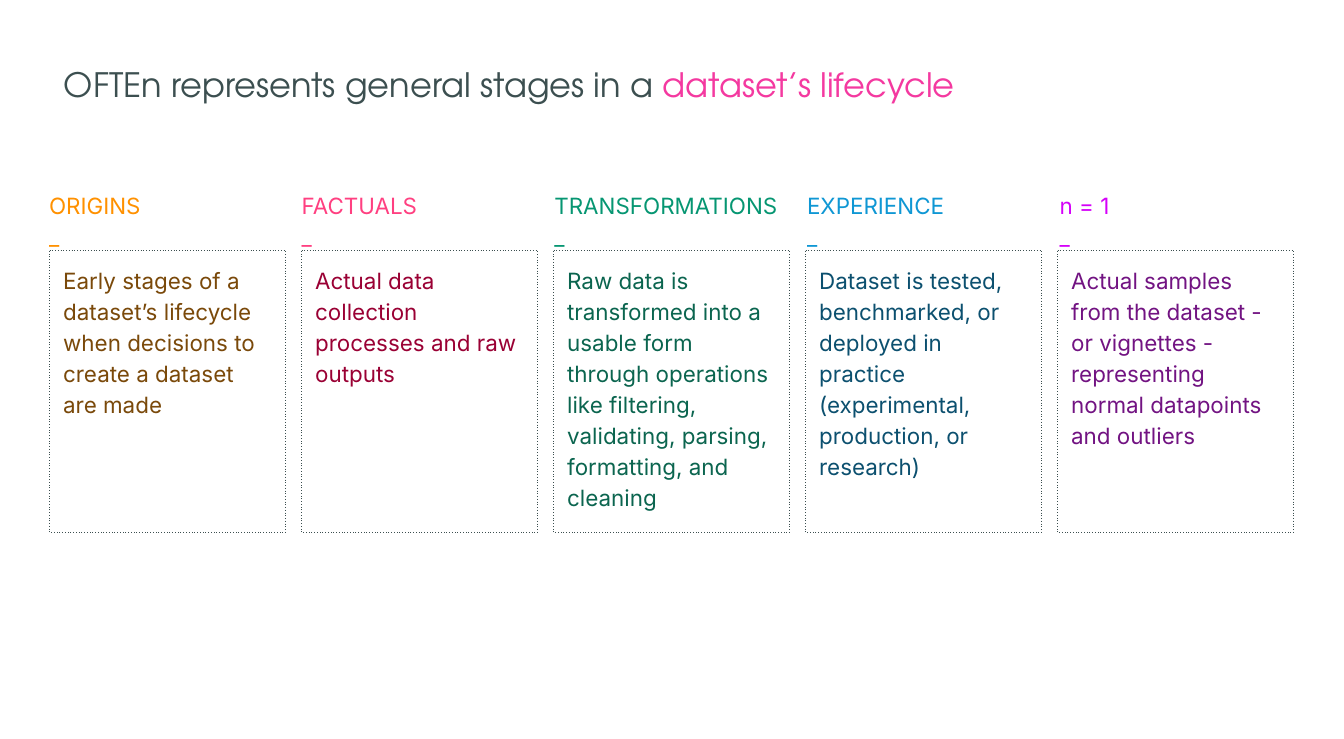
import dataclasses

import pptx
import pptx.dml.color
import pptx.enum.dml
import pptx.enum.shapes
import pptx.enum.text
import pptx.oxml.ns
import pptx.util


@dataclasses.dataclass(frozen=True)
class Theme:
    ink: str = "3C4F50"
    pink: str = "F439A0"
    white: str = "FFFFFF"
    head_font: str = "TeX Gyre Adventor"
    body_font: str = "Inter"
    head_size: float = 36
    body_size: float = 24
    edge: float = 0.75
    lines: float = 1.15
    after: float = 20
    pad: float = 0.2


@dataclasses.dataclass(frozen=True)
class Grid:
    left: float
    pitch: float
    top: float
    height: float
    width: float = 3.5

    def cell(self, col: int) -> list[int]:
        spots = (self.left + col * self.pitch, self.top, self.width, self.height)
        return [pptx.util.Inches(spot) for spot in spots]


@dataclasses.dataclass(frozen=True)
class Stage:
    name: str
    text: str
    bright: str
    dark: str


THEME = Theme()
TITLE = Grid(left=0.75, pitch=0, top=0.75, height=1, width=18.52)
LABELS = Grid(left=0.73, pitch=3.76, top=2.72, height=1)
CARDS = Grid(left=0.74, pitch=3.75, top=3.72, height=4.21)
STAGES = (
    Stage("ORIGINS",
          "Early stages of a dataset’s lifecycle when decisions to create a dataset are made",
          "FF9100", "7A490A"),
    Stage("FACTUALS",
          "Actual data collection processes and raw outputs",
          "FF4081", "9A0034"),
    Stage("TRANSFORMATIONS",
          "Raw data is transformed into a usable form through operations like filtering, "
          "validating, parsing, formatting, and cleaning",
          "069672", "0B654F"),
    Stage("EXPERIENCE",
          "Dataset is tested, benchmarked, or deployed in practice "
          "(experimental, production, or research)",
          "0F97D4", "0C506F"),
    Stage("n = 1",
          "Actual samples from the dataset - or vignettes - representing "
          "normal datapoints and outliers",
          "D500F9", "721382"),
)


def tint(code: str) -> pptx.dml.color.RGBColor:
    return pptx.dml.color.RGBColor.from_string(code)


def style(run, face: str, size: float, code: str) -> None:
    run.font.name = face
    run.font.size = pptx.util.Pt(size)
    run.font.color.rgb = tint(code)


def set_frame(frame, pad: float, anchor) -> None:
    frame.word_wrap = True
    frame.vertical_anchor = anchor
    frame.margin_left = frame.margin_right = pptx.util.Inches(pad)
    frame.margin_top = frame.margin_bottom = pptx.util.Inches(pad)


def add_title(slide, start: str, end: str) -> None:
    frame = slide.shapes.add_textbox(*TITLE.cell(0)).text_frame
    set_frame(frame, THEME.pad, pptx.enum.text.MSO_ANCHOR.TOP)
    frame.text = start
    line = frame.paragraphs[0]
    line.add_run().text = end
    for run, code in zip(line.runs, (THEME.ink, THEME.pink)):
        style(run, THEME.head_font, THEME.head_size, code)


def add_block(slide, cell: list[int], text: str, code: str, pad: float, anchor, after: float):
    kind = pptx.enum.shapes.MSO_SHAPE.ROUNDED_RECTANGLE
    shape = slide.shapes.add_shape(kind, *cell)
    shape.adjustments[0] = 0
    shape.shadow.inherit = False
    shape.fill.background()
    shape.line.fill.background()
    set_frame(shape.text_frame, pad, anchor)
    shape.text_frame.text = text
    for line in shape.text_frame.paragraphs:
        line.alignment = pptx.enum.text.PP_ALIGN.LEFT
        line.line_spacing = THEME.lines
        line.space_after = pptx.util.Pt(after)
        for run in line.runs:
            style(run, THEME.body_font, THEME.body_size, code)
    return shape


def add_label(slide, col: int, stage: Stage) -> None:
    add_block(slide, LABELS.cell(col), f"{stage.name}\n_", stage.bright,
              0, pptx.enum.text.MSO_ANCHOR.BOTTOM, 0)


def add_card(slide, col: int, stage: Stage) -> None:
    card = add_block(slide, CARDS.cell(col), stage.text, stage.dark,
                     THEME.pad, pptx.enum.text.MSO_ANCHOR.TOP, THEME.after)
    card.fill.solid()
    card.fill.fore_color.rgb = tint(THEME.white)
    card.line.color.rgb = tint(THEME.ink)
    card.line.width = pptx.util.Pt(THEME.edge)
    card.line.dash_style = pptx.enum.dml.MSO_LINE.ROUND_DOT
    for dash in card.element.iter(pptx.oxml.ns.qn("a:prstDash")):
        dash.set("val", "dot")


def main() -> None:
    deck = pptx.Presentation()
    deck.slide_width = pptx.util.Inches(20)
    deck.slide_height = pptx.util.Inches(11)
    slide = deck.slides.add_slide(deck.slide_layouts[6])
    slide.background.fill.solid()
    slide.background.fill.fore_color.rgb = tint(THEME.white)
    add_title(slide, "OFTEn represents general stages in a ", "dataset’s lifecycle")
    for draw in (add_label, add_card):
        for col, stage in enumerate(STAGES):
            draw(slide, col, stage)
    deck.save("out.pptx")


if __name__ == "__main__":
    main()
